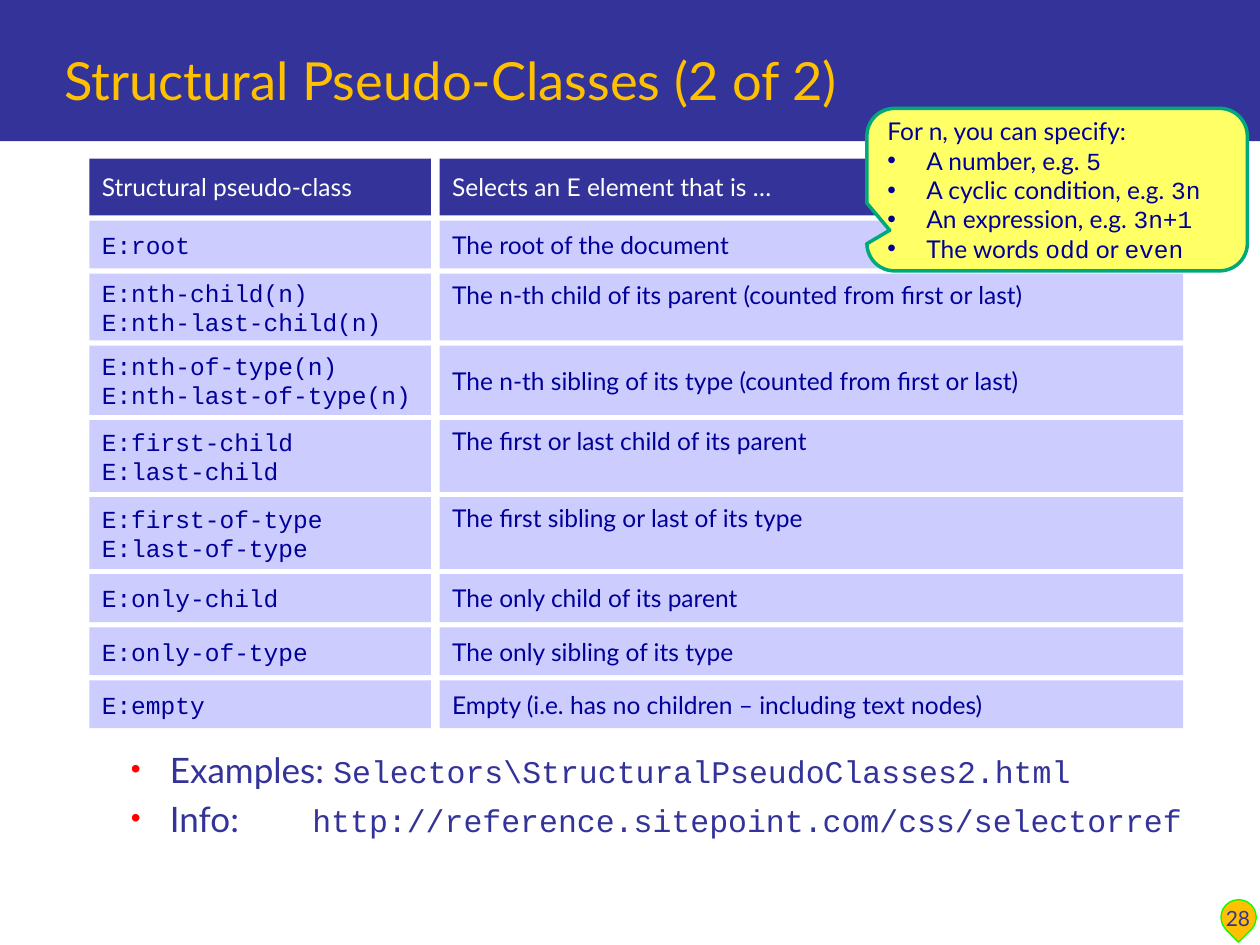
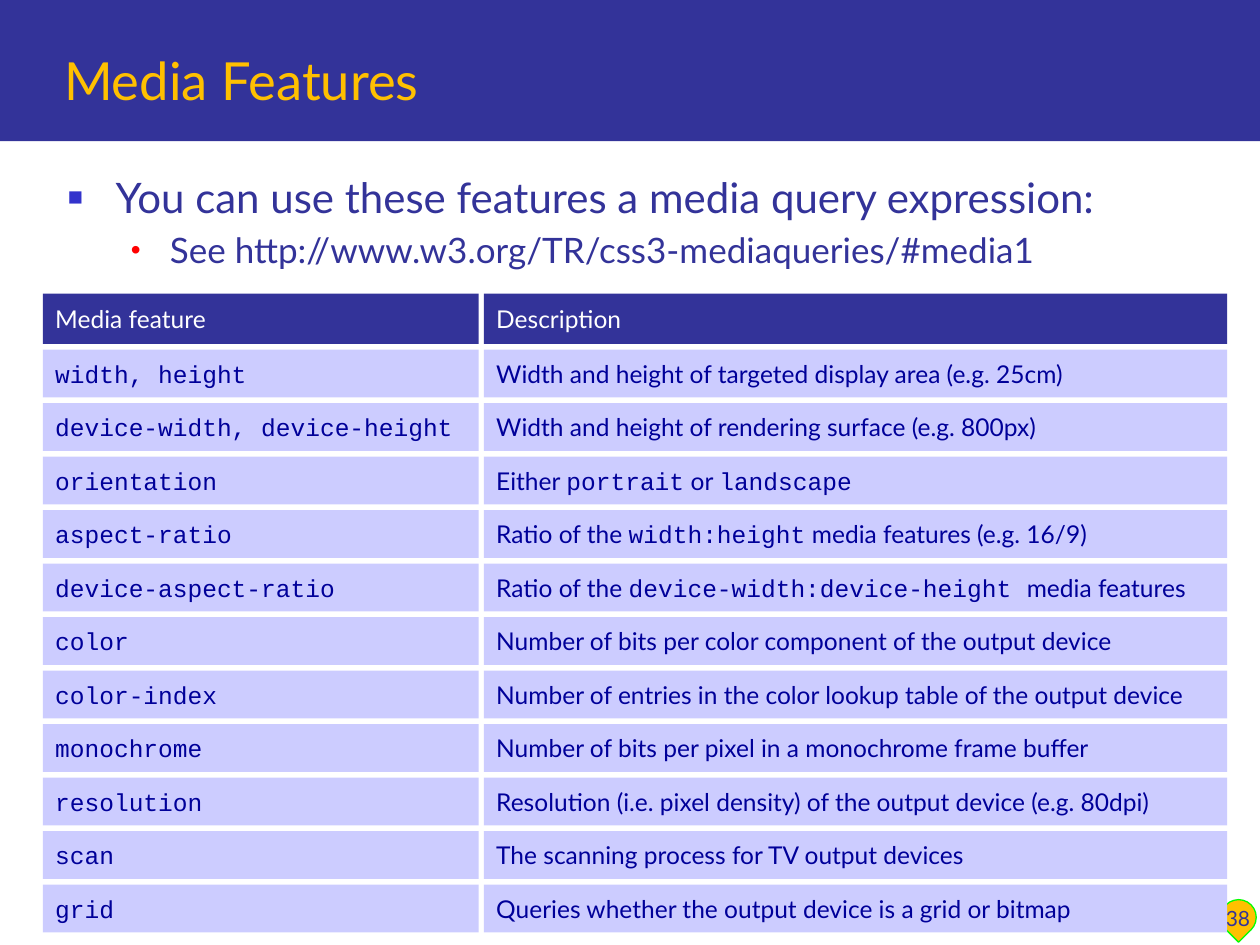
from lxml import etree
from pptx import Presentation
from pptx.dml.color import RGBColor
from pptx.enum.shapes import MSO_SHAPE as Shape
from pptx.enum.text import MSO_ANCHOR as Anchor, PP_ALIGN as Align
from pptx.oxml.ns import qn
from pptx.util import Inches, Pt

# Text between backticks is set in the code font.
BODY, CODE = "Lato", "Courier New"
NAVY, GOLD, WHITE = "333399", "FFC000", "FFFFFF"
INK, PALE, LEMON, GREEN = "000099", "CCCCFF", "FFFF66", "00A97C"
LIME, RED, BLUE = "00FF00", "FF0000", "3333CC"
MID, TOP = Anchor.MIDDLE, Anchor.TOP
ROW = 0.38

# Bullet levels: char, colour, size %, left, hang, text size, code size, space before
LEVELS = [
    ("■", BLUE, 60, 0.38, 0.38, 24, 24, 9.6),
    ("•", RED, 80, 0.81, 0.31, 20, 18, 4),
]
TABS = [1.13, 1.94]

PSEUDO = {
    "title": "Structural Pseudo-Classes (2 of 2)",
    "number": 28,
    "body": (5.89, 0.82, [
        (1, r"Examples: `Selectors\StructuralPseudoClasses2.html`"),
        (1, "Info:\t`http://reference.sitepoint.com/css/selectorref`"),
    ]),
    "grid": {
        "top": 1.26, "bottom": 5.78,
        "cols": [(0.71, 2.71), (3.49, 5.9)],
        "head": (0.45, "Structural pseudo-class", "Selects an E element that is …"),
        "rows": [
            (ROW, MID, ["E:root"], "The root of the document"),
            (0.53, TOP, ["E:nth-child(n)", "E:nth-last-child(n)"],
             "The n-th child of its parent (counted from first or last)"),
            (0.55, MID, ["E:nth-of-type(n)", "E:nth-last-of-type(n)"],
             "The n-th sibling of its type (counted from first or last)"),
            (0.57, TOP, ["E:first-child", "E:last-child"],
             "The first or last child of its parent"),
            (0.57, TOP, ["E:first-of-type", "E:last-of-type"],
             "The first sibling or last of its type"),
            (ROW, MID, ["E:only-child"], "The only child of its parent"),
            (ROW, MID, ["E:only-of-type"], "The only sibling of its type"),
            (ROW, MID, ["E:empty"],
             "Empty (i.e. has no children – including text nodes)"),
        ],
    },
}

FEATURES = [
    ("width, height", "Width and height of targeted display area (e.g. 25cm)"),
    ("device-width, device-height",
     "Width and height of rendering surface (e.g. 800px)"),
    ("orientation", "Either `portrait` or `landscape`"),
    ("aspect-ratio", "Ratio of the `width:height` media features (e.g. 16/9)"),
    ("device-aspect-ratio",
     "Ratio of the `device-width:device-height `media features"),
    ("color", "Number of bits per color component of the output device"),
    ("color-index",
     "Number of entries in the color lookup table of the output device"),
    ("monochrome", "Number of bits per pixel in a monochrome frame buffer"),
    ("resolution",
     "Resolution (i.e. pixel density) of the output device (e.g. 80dpi)"),
    ("scan", "The scanning process for TV output devices"),
    ("grid", "Queries whether the output device is a grid or bitmap"),
]

MEDIA = {
    "title": "Media Features",
    "number": 38,
    "body": (1.31, 0.98, [
        (0, "You can use these features a media query expression:"),
        (1, "See http://www.w3.org/TR/css3-mediaqueries/#media1"),
    ]),
    "grid": {
        "top": 2.33, "bottom": 7.4,
        "cols": [(0.34, 3.46), (3.84, 5.9)],
        "head": (0.4, "Media feature", "Description"),
        "rows": [(ROW, MID, [name], text) for name, text in FEATURES],
    },
}

HINTS = [
    "For n, you can specify:",
    "A number, e.g. `5`",
    "A cyclic condition, e.g. `3n`",
    "An expression, e.g. `3n+1`",
    "The words `odd` or `even`",
]


def rgb(code):
    return RGBColor.from_string(code)


def add_shape(slide, kind, box, fill, line=None, width=0.75):
    shape = slide.shapes.add_shape(kind, *map(Inches, box))
    shape.shadow.inherit = False
    shape.fill.solid()
    shape.fill.fore_color.rgb = rgb(fill)
    if line:
        shape.line.color.rgb = rgb(line)
        shape.line.width = Pt(width)
    else:
        shape.line.fill.background()
    return shape


def add_box(slide, box):
    return slide.shapes.add_textbox(*map(Inches, box))


def add_runs(para, text, size, color, code_size=None):
    """Split the text at backticks and set each part in its font."""
    for i, part in enumerate(text.split("`")):
        if part:
            run = para.add_run()
            run.text = part
            font = run.font
            font.name = CODE if i % 2 else BODY
            font.size = Pt(code_size or size) if i % 2 else Pt(size)
            font.color.rgb = rgb(color)


def set_text(shape, lines, size, color, anchor=MID, align=Align.LEFT):
    """Fill a shape with one paragraph per line and return the paragraphs."""
    frame = shape.text_frame
    frame.word_wrap = True
    frame.vertical_anchor = anchor
    frame.text = "\n".join([""] * len(lines))
    for para, text in zip(frame.paragraphs, lines):
        para.alignment = align
        add_runs(para, text, size, color)
    return frame.paragraphs


def add_bullet(para, char, left, hang, color=None, scale=None, tabs=()):
    props = para._p.get_or_add_pPr()
    props.set("marL", str(Inches(left)))
    props.set("indent", str(-Inches(hang)))
    if color:
        clr = etree.SubElement(props, qn("a:buClr"))
        etree.SubElement(clr, qn("a:srgbClr"), val=color)
    if scale:
        etree.SubElement(props, qn("a:buSzPct"), val=str(scale * 1000))
    etree.SubElement(props, qn("a:buFont"), typeface="Arial")
    etree.SubElement(props, qn("a:buChar"), char=char)
    if tabs:
        stops = etree.SubElement(props, qn("a:tabLst"))
        for pos in tabs:
            etree.SubElement(stops, qn("a:tab"), pos=str(Inches(pos)), algn="l")


def add_body(slide, top, height, items):
    frame = add_box(slide, (0.44, top, 9.28, height)).text_frame
    frame.word_wrap = True
    frame.text = "\n".join([""] * len(items))
    for i, (para, (level, text)) in enumerate(zip(frame.paragraphs, items)):
        char, color, scale, left, hang, size, code, before = LEVELS[level]
        add_bullet(para, char, left, hang, color, scale,
                   TABS if "\t" in text else ())
        para.level = level
        if i:
            para.space_before = Pt(before)
        add_runs(para, text, size, NAVY, code)


def add_grid(slide, top, bottom, cols, head, rows):
    """Stack the rows from top to bottom with equal gaps."""
    height, *names = head
    table = [(height, MID, [[name] for name in names], NAVY, WHITE)]
    for height, anchor, codes, text in rows:
        cells = [[f"`{code}`" for code in codes], [text]]
        table.append((height, anchor, cells, PALE, INK))
    gap = (bottom - top - sum(row[0] for row in table)) / (len(table) - 1)
    for height, anchor, cells, fill, color in table:
        anchors = (MID, anchor)
        for (left, width), lines, place in zip(cols, cells, anchors):
            cell = add_shape(slide, Shape.RECTANGLE, (left, top, width, height), fill)
            set_text(cell, lines, 14, color, place)
        top += height + gap


def add_callout(slide):
    note = add_shape(slide, Shape.ROUNDED_RECTANGULAR_CALLOUT,
                     (6.88, 0.86, 3.02, 1.29), LEMON, GREEN, 2)
    for i, value in enumerate((-0.44, 0.25, 0.17)):
        note.adjustments[i] = value
    for para in set_text(note, HINTS, 14, INK)[1:]:
        add_bullet(para, "•", 0.31, 0.31)


def add_slide(deck, title, number, body, grid):
    slide = deck.slides.add_slide(deck.slide_layouts[6])
    add_shape(slide, Shape.RECTANGLE, (0, 0, 10, 1.12), NAVY)
    drop = add_shape(slide, Shape.TEAR, (9.69, 7.14, 0.28, 0.28), GOLD, LIME)
    drop.rotation = 135
    add_body(slide, *body)
    set_text(add_box(slide, (0.41, 0.17, 9.35, 0.76)), [title], 30, GOLD,
             Anchor.BOTTOM)
    set_text(add_box(slide, (9.54, 6.94, 0.57, 0.5)), [str(number)], 12, NAVY,
             Anchor.BOTTOM, Align.CENTER)
    add_grid(slide, **grid)
    return slide


def main():
    deck = Presentation()
    deck.slide_width, deck.slide_height = Inches(10), Inches(7.5)
    add_callout(add_slide(deck, **PSEUDO))
    add_slide(deck, **MEDIA)
    deck.save("out.pptx")


if __name__ == "__main__":
    main()
